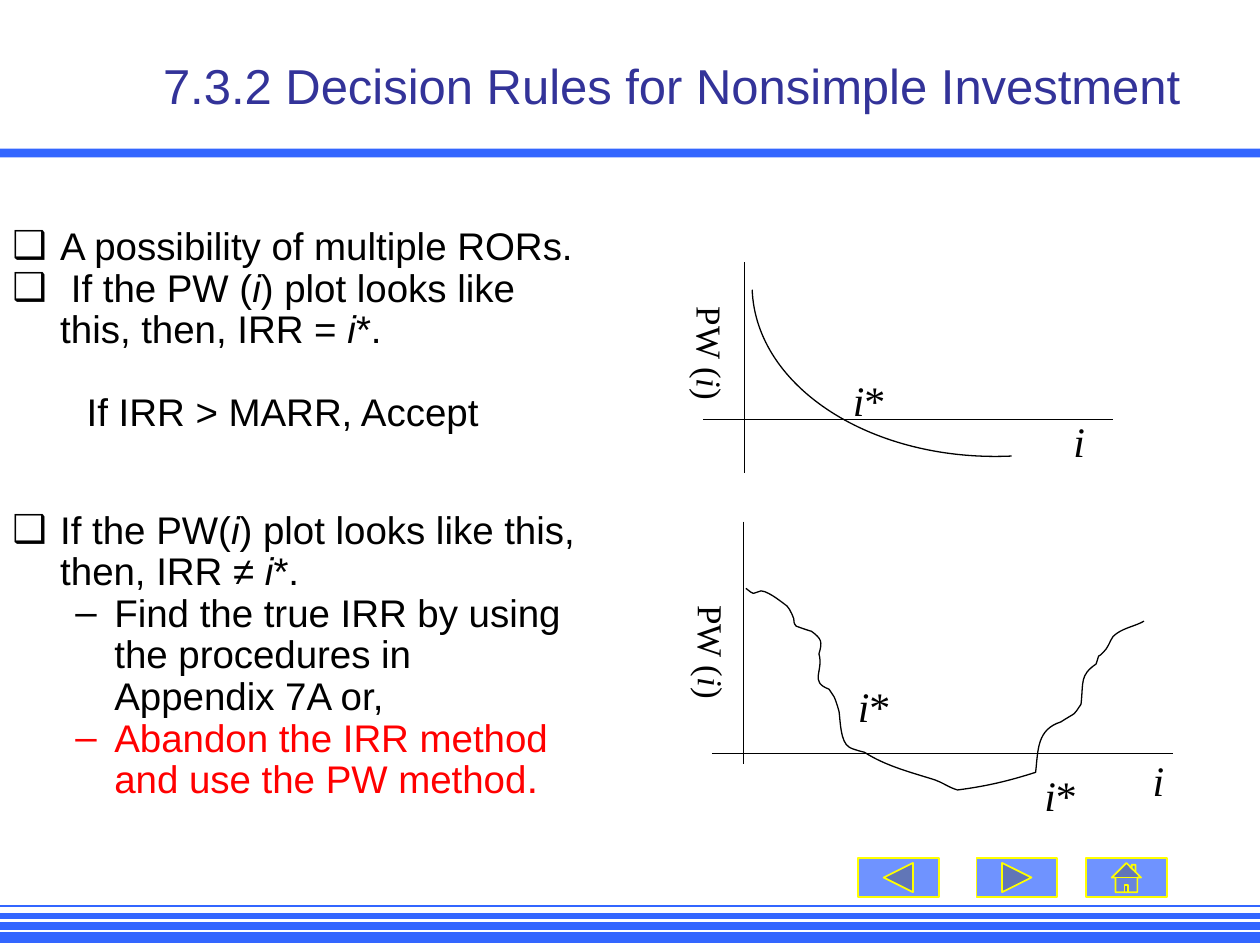
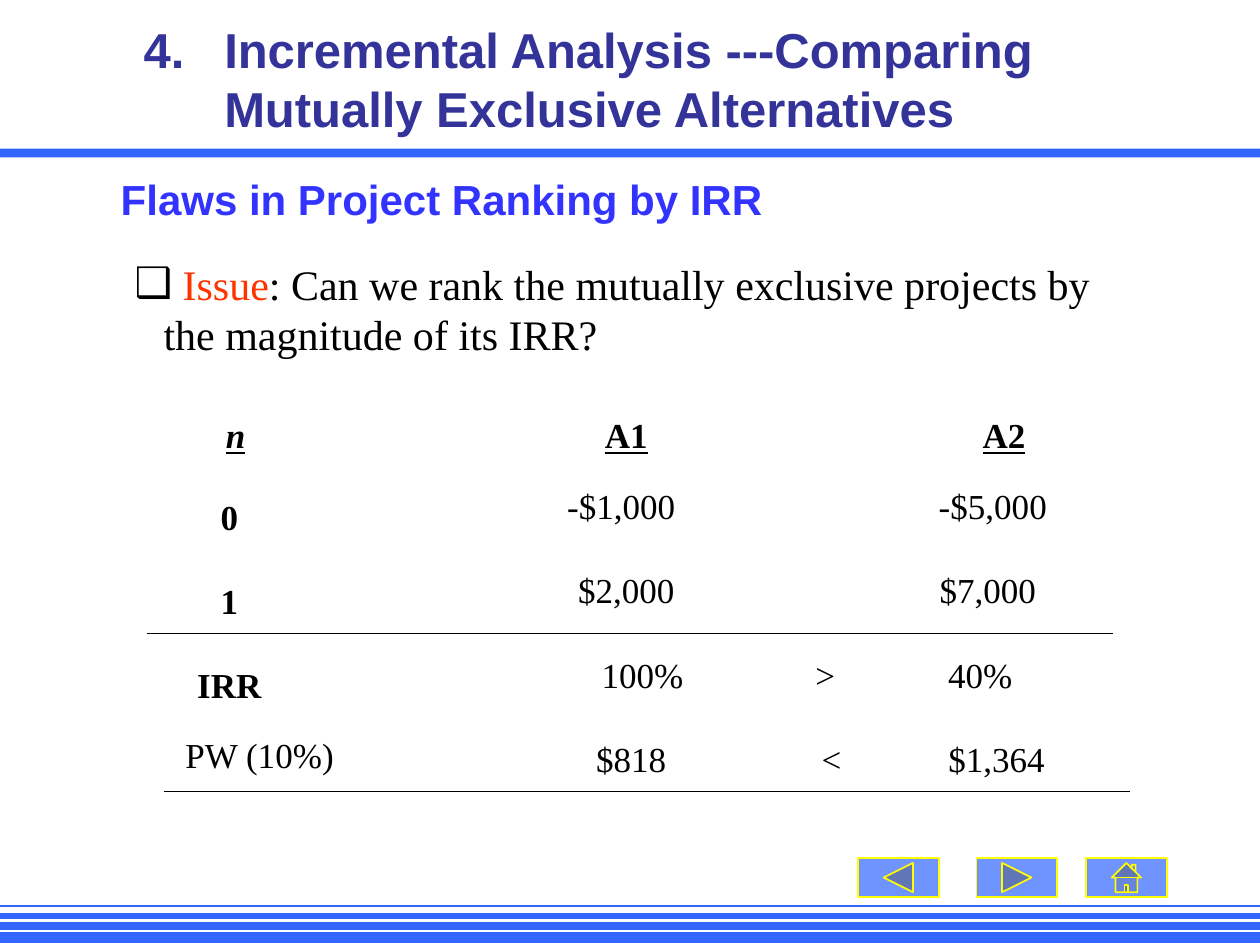
"""Build two slides on rate-of-return decision rules and ranking by IRR."""
from lxml.etree import SubElement
from pptx import Presentation
from pptx.dml.color import RGBColor
from pptx.enum.shapes import MSO_CONNECTOR, MSO_SHAPE
from pptx.enum.text import MSO_ANCHOR, PP_ALIGN
from pptx.oxml.ns import qn
from pptx.util import Inches, Pt

BAND_BLUE = RGBColor(0x33, 0x66, 0xFF)
TITLE_BLUE = RGBColor(0x33, 0x33, 0x99)
HEADING_BLUE = RGBColor(0x33, 0x33, 0xFF)
YELLOW = RGBColor(0xFF, 0xFF, 0x00)
BLACK = RGBColor(0x00, 0x00, 0x00)
RED = RGBColor(0xFF, 0x00, 0x00)
ORANGE = RGBColor(0xFF, 0x33, 0x00)
SANS, SERIF = "Arial", "Times New Roman"

FOOTER_LINES = [(7.44, 6), (7.35, 4.5), (7.27, 3), (7.19, 1.5)]
BUTTONS = [
    (6.81, MSO_SHAPE.ACTION_BUTTON_BACK_OR_PREVIOUS),
    (7.75, MSO_SHAPE.ACTION_BUTTON_FORWARD_OR_NEXT),
    (8.62, MSO_SHAPE.ACTION_BUTTON_HOME),
]

RULES_TITLE = "7.3.2 Decision Rules for Nonsimple Investment"
# Text between underscores is emphasised.
RULES = [
    ("A possibility of multiple RORs.", "❑", 0.38, 0, BLACK),
    (" If the PW (_i_) plot looks like this, then, IRR = _i_*.", "❑", 0.38, 0, BLACK),
    ("If IRR > MARR, Accept", None, 0.59, 23.8, BLACK),
    ("If the PW(_i_) plot looks like this, then, IRR ≠ _i_*.", "❑", 0.38, 43.2, BLACK),
    ("Find the true IRR by using the procedures in Appendix 7A or,", "–", 0.81, 0, BLACK),
    ("Abandon the IRR method and use the PW method", "–", 0.81, 0, RED),
]
HANGING = {"❑": 0.38, "–": 0.31, None: 0}
AXES = [
    (5.58, 3.33, 8.83, 3.33), (5.91, 2.08, 5.91, 3.75),
    (5.65, 5.98, 9.31, 5.98), (5.9, 4.14, 5.9, 6.06),
]
AXIS_NAMES = [(5.15, 2.6), (5.16, 4.97)]
PLOT_LABELS = [
    ("_i_*", 6.67, 2.92), ("_i_", 8.42, 3.25),
    ("_i_*", 6.71, 5.35), ("_i_*", 8.19, 6.06), ("_i_", 9.05, 5.94),
]
SIMPLE_CURVE = [(8.03, 3.62), (6.93, 3.67), (6, 3.08), (5.97, 2.3)]
NONSIMPLE_CURVE = [
    (5.92, 4.67),
    (5.94, 4.68), (5.95, 4.7), (5.98, 4.71), (6, 4.71), (6.02, 4.69), (6.04, 4.69),
    (6.06, 4.69), (6.08, 4.7), (6.1, 4.71), (6.14, 4.73), (6.18, 4.76), (6.22, 4.79),
    (6.26, 4.81), (6.28, 4.86), (6.3, 4.91), (6.3, 4.93), (6.3, 4.95), (6.32, 4.97),
    (6.32, 4.97), (6.43, 5.01), (6.44, 5.01), (6.52, 5.07), (6.53, 5.09), (6.5, 5.19),
    (6.54, 5.33), (6.42, 5.41), (6.58, 5.47), (6.59, 5.49), (6.61, 5.51), (6.62, 5.53),
    (6.64, 5.57), (6.66, 5.65), (6.66, 5.65), (6.67, 5.72), (6.67, 5.89), (6.74, 5.93),
    (6.77, 5.95), (6.86, 5.97), (6.86, 5.97), (7.03, 6.08), (7.23, 6.13), (7.42, 6.19),
    (7.48, 6.21), (7.53, 6.25), (7.6, 6.27), (7.83, 6.24), (8, 6.2), (8.22, 6.13),
    (8.24, 5.95), (8.23, 5.79), (8.42, 5.73), (8.56, 5.64), (8.51, 5.69), (8.58, 5.59),
    (8.6, 5.41), (8.57, 5.36), (8.7, 5.27), (8.74, 5.15), (8.69, 5.26), (8.78, 5.15),
    (8.81, 5.11), (8.82, 5.05), (8.86, 5.03), (8.93, 4.98), (9.01, 4.97), (9.08, 4.93),
]

RANKING_TITLE = "4.\tIncremental Analysis ---Comparing Mutually Exclusive Alternatives"
RANKING_HEADING = "Flaws in Project Ranking by IRR"
ISSUE = "_Issue_: Can we rank the mutually exclusive projects by the magnitude of its IRR?"
COLUMN_EDGES = [0.8, 4.2, 5.8, 7.2, 8.7]
TABLE_TOP, HEADER_HEIGHT, ROW_HEIGHT = 3.23, 0.45, 0.67
PROJECTS = [
    [("_n_", 1.87), ("A1", 4.97), ("", 6.5), ("A2", 7.97)],
    [("0", 1.82), ("-$1,000", 4.93), ("", 6.5), ("-$5,000", 7.88)],
    [("1", 1.82), ("$2,000", 4.97), ("", 6.5), ("$7,000", 7.84)],
    [("IRR", 1.82), ("100%", 5.1), (">", 6.55), ("40%", 7.78)],
    [("PW (10%)", 2.06), ("$818", 5.01), ("<", 6.6), ("$1,364", 7.91)],
]
TABLE_RULES = [(1.17, 5.03, 8.83, 5.03), (1.3, 6.28, 8.97, 6.28)]


def write(para, text, size, font=SERIF, color=BLACK, leading=1.2, accent=None, **style):
    """Fill a paragraph; marked pieces turn italic, or take the accent colour."""
    para.line_spacing = Pt(size * leading)
    for number, piece in enumerate(text.split("_")):
        if not piece:
            continue
        span = para.add_run()
        span.text = piece
        span.font.size, span.font.name = Pt(size), font
        span.font.color.rgb = color
        for name, value in style.items():
            setattr(span.font, name, value)
        if number % 2 and accent:
            span.font.color.rgb = accent
        elif number % 2:
            span.font.italic = True


def indent(para, left, hanging, bullet=None, color=BLACK):
    """Give a paragraph its indents and, if wanted, a bullet."""
    props = para._p.get_or_add_pPr()
    props.set("marL", str(Inches(left)))
    props.set("indent", str(-Inches(hanging)))
    if bullet:
        shade = SubElement(props, qn("a:buClr"))
        SubElement(shade, qn("a:srgbClr"), val=str(color))
        SubElement(props, qn("a:buFont"), typeface=SANS)
        SubElement(props, qn("a:buChar"), char=bullet)
    else:
        SubElement(props, qn("a:buNone"))


def add_text(page, left, top, width, height, wrap=True):
    """Add an empty text box."""
    box = page.shapes.add_textbox(*map(Inches, (left, top, width, height)))
    box.text_frame.word_wrap = wrap
    return box


def add_line(page, ends, color=BLACK, width=0.75):
    """Draw a straight line without shadow."""
    line = page.shapes.add_connector(MSO_CONNECTOR.STRAIGHT, *map(Inches, ends))
    line.line.color.rgb, line.line.width = color, Pt(width)
    SubElement(line.element.spPr, qn("a:effectLst"))
    return line


def add_curve(page, points):
    """Draw a chain of cubic curves as one open outline."""
    builder = page.shapes.build_freeform(*map(Inches, points[0]))
    builder.add_line_segments([tuple(map(Inches, point)) for point in points[1:]], close=False)
    curve = builder.convert_to_shape()
    corners = curve.element.findall(".//" + qn("a:lnTo"))
    outline = corners[0].getparent()
    for start in range(0, len(corners), 3):
        segment = SubElement(outline, qn("a:cubicBezTo"))
        for corner in corners[start:start + 3]:
            segment.append(corner[0])
            outline.remove(corner)
    curve.shadow.inherit = False
    curve.fill.background()
    curve.line.color.rgb, curve.line.width = BLACK, Pt(0.75)


def add_frame(page, layout):
    """Draw the bands and buttons and move them to the shared layout."""
    band = page.shapes.add_shape(MSO_SHAPE.RECTANGLE, 0, Inches(1.18), Inches(10), Inches(0.07))
    band.shadow.inherit = False
    band.fill.solid()
    band.fill.fore_color.rgb = BAND_BLUE
    band.line.fill.background()
    parts = [band]
    for left, kind in BUTTONS:
        button = page.shapes.add_shape(kind, *map(Inches, (left, 6.81, 0.64, 0.31)))
        button.shadow.inherit = False
        button.fill.solid()
        button.fill.fore_color.rgb = BAND_BLUE
        shade = button.element.spPr.find(qn("a:solidFill"))[0]
        SubElement(shade, qn("a:alpha"), val="70000")
        button.line.color.rgb, button.line.width = YELLOW, Pt(1)
        parts.append(button)
    parts += [add_line(page, (0, y, 10, y), BAND_BLUE, width) for y, width in FOOTER_LINES]
    for number, part in enumerate(parts, 100):
        part.element.xpath(".//p:cNvPr")[0].set("id", str(number))
        layout.shapes.element.append(part.element)


def set_title(page, text, place, align, bold=False):
    """Place and format the title."""
    title = page.shapes.title
    title.left, title.top, title.width, title.height = map(Inches, place)
    title.text_frame.vertical_anchor = MSO_ANCHOR.MIDDLE
    title.text_frame.word_wrap = True
    para = title.text_frame.paragraphs[0]
    para.alignment = align
    write(para, text, 28, SANS, TITLE_BLUE, bold=bold)
    return para


def build_rules(page):
    """Fill the slide of decision rules and its two plots."""
    set_title(page, RULES_TITLE, (0.83, 0.28, 9, 0.79), PP_ALIGN.CENTER)
    frame = add_text(page, 0, 1.75, 4.7, 4.95).text_frame
    for number, (text, bullet, left, gap, color) in enumerate(RULES):
        para = frame.add_paragraph() if number else frame.paragraphs[0]
        indent(para, left, HANGING[bullet], bullet, color)
        para.space_before = Pt(gap)
        write(para, text, 22, SANS, color, leading=1.08)
    write(para, ".", 24, SANS, RED, leading=1)
    for ends in AXES:
        add_line(page, ends)
    add_curve(page, SIMPLE_CURVE)
    add_curve(page, NONSIMPLE_CURVE)
    for left, top in AXIS_NAMES:
        box = add_text(page, left, top, 0.97, 0.44)
        box.rotation = 90
        write(box.text_frame.paragraphs[0], "PW (_i_)", 20)
    for text, left, top in PLOT_LABELS:
        box = add_text(page, left, top, 0.46 if "*" in text else 0.29, 0.5, wrap=False)
        write(box.text_frame.paragraphs[0], text, 24)


def add_projects(page):
    """Add the table that compares both projects."""
    edges, last = COLUMN_EDGES, len(PROJECTS) - 1
    height = HEADER_HEIGHT + ROW_HEIGHT * last
    table = page.shapes.add_table(
        len(PROJECTS), len(edges) - 1,
        *map(Inches, (edges[0], TABLE_TOP, edges[-1] - edges[0], height))).table
    table.first_row = table.horz_banding = False
    for column, left, right in zip(table.columns, edges, edges[1:]):
        column.width = Inches(right - left)
    for r, row in enumerate(PROJECTS):
        table.rows[r].height = Inches(ROW_HEIGHT if r else HEADER_HEIGHT)
        for c, (text, centre) in enumerate(row):
            cell = table.cell(r, c)
            cell.fill.background()
            cell.vertical_anchor = MSO_ANCHOR.MIDDLE
            shift = 2 * centre - edges[c] - edges[c + 1]
            cell.margin_left, cell.margin_right = Inches(max(shift, 0)), Inches(max(-shift, 0))
            is_key = c == 0 and 0 < r < last
            if is_key:
                cell.margin_top = Inches(0.22)
            elif c == 0 and r == last:
                cell.margin_bottom = Inches(0.12)
            para = cell.text_frame.paragraphs[0]
            para.alignment = PP_ALIGN.CENTER
            write(para, text, 20, bold=is_key or r == 0, underline=r == 0)


def build_ranking(page):
    """Fill the slide on ranking projects by IRR."""
    title = set_title(page, RANKING_TITLE, (0.42, 0.08, 8.5, 1.08), PP_ALIGN.LEFT, bold=True)
    indent(title, 1.26, 0.64)
    heading = add_text(page, 0.86, 1.33, 5.29, 0.5, wrap=False).text_frame.paragraphs[0]
    write(heading, RANKING_HEADING, 24, SANS, HEADING_BLUE, bold=True)
    issue = add_text(page, 0.97, 2, 8, 0.9).text_frame.paragraphs[0]
    indent(issue, 0.23, 0.23, "❑")
    write(issue, " " + ISSUE, 24, accent=ORANGE)
    add_projects(page)
    for ends in TABLE_RULES:
        add_line(page, ends)


def main():
    """Build and save the deck."""
    deck = Presentation()
    deck.slide_width, deck.slide_height = Inches(10), Inches(7.5)
    layout = deck.slide_layouts[5]
    pages = [deck.slides.add_slide(layout) for _ in range(2)]
    add_frame(pages[0], layout)
    build_rules(pages[0])
    build_ranking(pages[1])
    deck.save("out.pptx")


if __name__ == "__main__":
    main()
